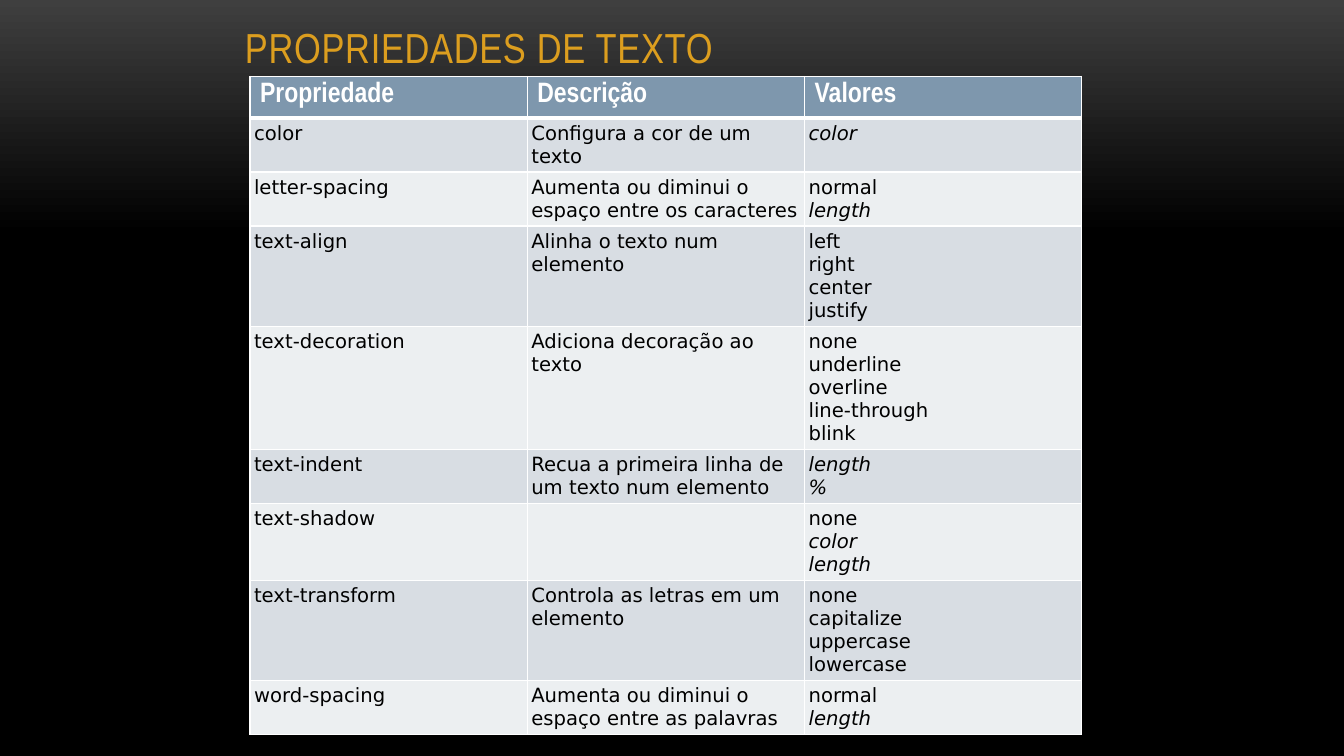
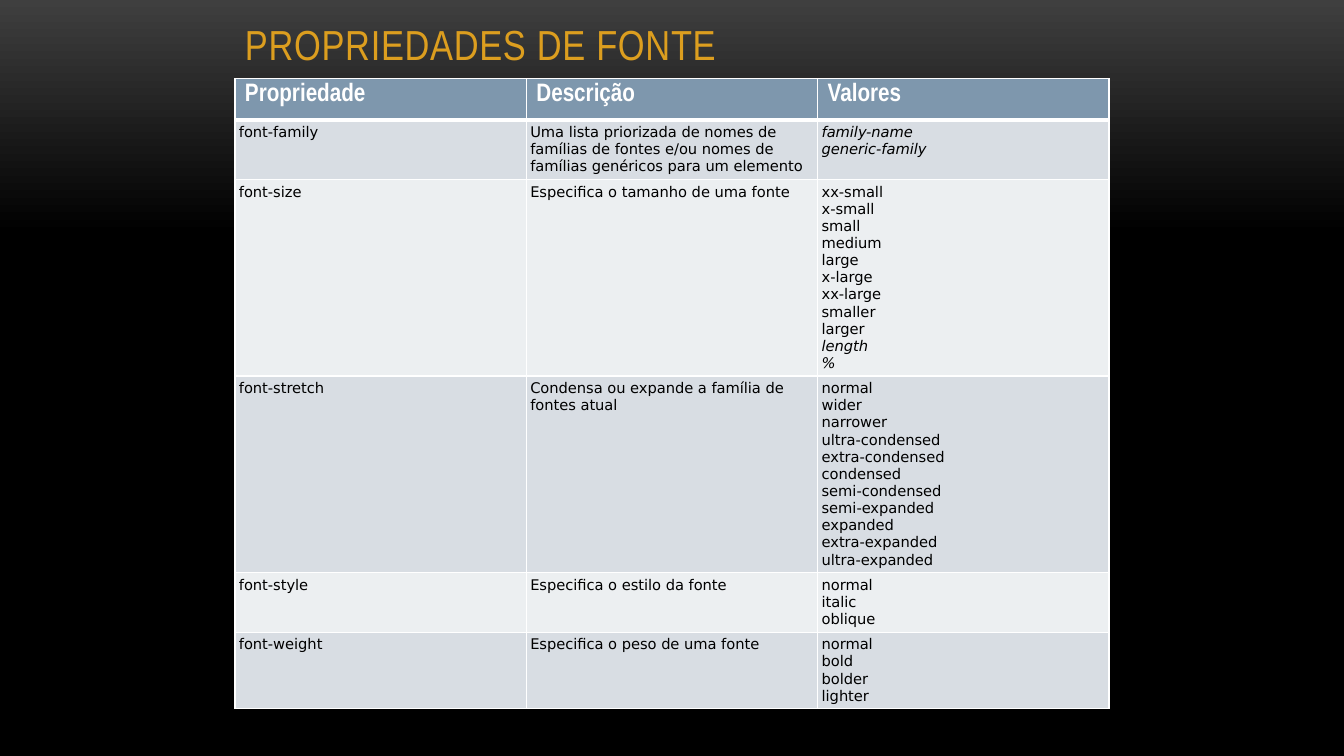
from dataclasses import dataclass

from lxml import etree
from pptx import Presentation
from pptx import util as u
from pptx.dml.color import RGBColor
from pptx.enum import text as t
from pptx.oxml import ns


# Theme: colours, fonts and type sizes
@dataclass(frozen=True)
class Theme:
    top: str = "3F3F3F"
    base: str = "000000"
    gold: str = "DC9E1F"
    head: str = "7E97AD"
    bands: tuple[str, str] = ("D8DDE3", "ECEFF1")
    white: str = "FFFFFF"
    ink: str = "000000"
    narrow: str = "Arial Narrow"
    sans: str = "DejaVu Sans"
    title: float = 30
    thin: float = 1
    thick: float = 3


@dataclass(frozen=True)
class Row:
    name: str
    about: str
    values: tuple[str, ...]


@dataclass(frozen=True)
class Page:
    title: str
    title_top: float
    title_high: float
    left: float
    top: float
    col: float
    head_size: float
    body_size: float
    rows: tuple[Row, ...]


THEME = Theme()
HEADS = ("Propriedade", "Descrição", "Valores")
ROW_HIGH = 0.41
INSET = 0.04
# Values that stand for a kind of value are set in italics
KINDS = {"color", "length", "%", "family-name", "generic-family"}

PAGES = (
    Page("PROPRIEDADES DE TEXTO", 0, 0.76, 2.48, 0.76, 2.75, 20, 14, (
        Row("color", "Configura a cor de um texto", ("color",)),
        Row("letter-spacing", "Aumenta ou diminui o espaço entre os caracteres",
            ("normal", "length")),
        Row("text-align", "Alinha o texto num elemento",
            ("left", "right", "center", "justify")),
        Row("text-decoration", "Adiciona decoração ao texto",
            ("none", "underline", "overline", "line-through", "blink")),
        Row("text-indent", "Recua a primeira linha de um texto num elemento",
            ("length", "%")),
        Row("text-shadow", "", ("none", "color", "length")),
        Row("text-transform", "Controla as letras em um elemento",
            ("none", "capitalize", "uppercase", "lowercase")),
        Row("word-spacing", "Aumenta ou diminui o espaço entre as palavras",
            ("normal", "length")),
    )),
    Page("PROPRIEDADES DE FONTE", 0.13, 0.6, 2.33, 0.78, 2.89, 18, 10.5, (
        Row("font-family",
            "Uma lista priorizada de nomes de famílias de fontes e/ou nomes "
            "de famílias genéricos para um elemento",
            ("family-name", "generic-family")),
        Row("font-size", "Especifica o tamanho de uma fonte",
            ("xx-small", "x-small", "small", "medium", "large", "x-large",
             "xx-large", "smaller", "larger", "length", "%")),
        Row("font-stretch", "Condensa ou expande a família de fontes atual",
            ("normal", "wider", "narrower", "ultra-condensed",
             "extra-condensed", "condensed", "semi-condensed",
             "semi-expanded", "expanded", "extra-expanded",
             "ultra-expanded")),
        Row("font-style", "Especifica o estilo da fonte",
            ("normal", "italic", "oblique")),
        Row("font-weight", "Especifica o peso de uma fonte",
            ("normal", "bold", "bolder", "lighter")),
    )),
)


# Text
def add_run(para, words: str, font: str, size: float, color: str,
            bold: bool = False, italic: bool = False):
    run = para.add_run()
    run.text = words
    run.font.name = font
    run.font.size = u.Pt(size)
    run.font.color.rgb = RGBColor.from_string(color)
    run.font.bold = bold
    run.font.italic = italic
    return run


def add_title(slide, page: Page) -> None:
    title = slide.shapes.title
    title.left, title.top = u.Inches(2.33), u.Inches(page.title_top)
    title.width, title.height = u.Inches(8.67), u.Inches(page.title_high)
    frame = title.text_frame
    frame.auto_size = t.MSO_AUTO_SIZE.NONE
    frame.vertical_anchor = t.MSO_ANCHOR.BOTTOM
    para = frame.paragraphs[0]
    para.alignment = t.PP_ALIGN.LEFT
    run = add_run(para, page.title, THEME.narrow, THEME.title, THEME.gold)
    run.font._element.set("spc", "50")


# Table cells
def set_edges(cell, above: float, below: float) -> None:
    props = cell._tc.get_or_add_tcPr()
    widths = {"L": THEME.thin, "R": THEME.thin, "T": above, "B": below}
    for place, (side, width) in enumerate(widths.items()):
        line = etree.Element(ns.qn(f"a:ln{side}"), w=str(u.Pt(width)))
        fill = etree.SubElement(line, ns.qn("a:solidFill"))
        etree.SubElement(fill, ns.qn("a:srgbClr"), val=THEME.white)
        props.insert(place, line)


def paint(cell, color: str, above: float, below: float) -> None:
    cell.fill.solid()
    cell.fill.fore_color.rgb = RGBColor.from_string(color)
    set_edges(cell, above, below)


def fill_body(cell, lines: tuple[str, ...], size: float, kinds: set) -> None:
    cell.margin_left = cell.margin_right = u.Inches(INSET)
    cell.margin_top = cell.margin_bottom = u.Inches(INSET)
    para = cell.text_frame.paragraphs[0]
    for num, line in enumerate(lines):
        if num:
            para.add_line_break()
        if line:
            add_run(para, line, THEME.sans, size, THEME.ink,
                    italic=line in kinds)


def add_grid(slide, page: Page) -> None:
    count = len(page.rows) + 1
    table = slide.shapes.add_table(
        count, len(HEADS), u.Inches(page.left), u.Inches(page.top),
        u.Inches(page.col * len(HEADS)), u.Inches(ROW_HIGH * count)).table
    table.horz_banding = False
    for col, head in enumerate(HEADS):
        cell = table.cell(0, col)
        paint(cell, THEME.head, THEME.thin, THEME.thick)
        add_run(cell.text_frame.paragraphs[0], head, THEME.narrow,
                page.head_size, THEME.white, bold=True)
    for num, row in enumerate(page.rows):
        above = THEME.thin if num else THEME.thick
        parts = ((row.name,), (row.about,), row.values)
        for col, lines in enumerate(parts):
            cell = table.cell(num + 1, col)
            paint(cell, THEME.bands[num % 2], above, THEME.thin)
            fill_body(cell, lines, page.body_size,
                      KINDS if lines is row.values else set())


# Shared background
def set_back(master) -> None:
    fill = master.background.fill
    fill.gradient()
    fill.gradient_angle = 270
    stops = ((0, THEME.top), (0.31, THEME.base))
    for stop, (place, color) in zip(fill.gradient_stops, stops):
        stop.position = place
        stop.color.rgb = RGBColor.from_string(color)


def main() -> None:
    deck = Presentation()
    deck.slide_width, deck.slide_height = u.Inches(13.33), u.Inches(7.5)
    set_back(deck.slide_master)
    for page in PAGES:
        slide = deck.slides.add_slide(deck.slide_layouts[5])
        add_title(slide, page)
        add_grid(slide, page)
    deck.save("out.pptx")


if __name__ == "__main__":
    main()
